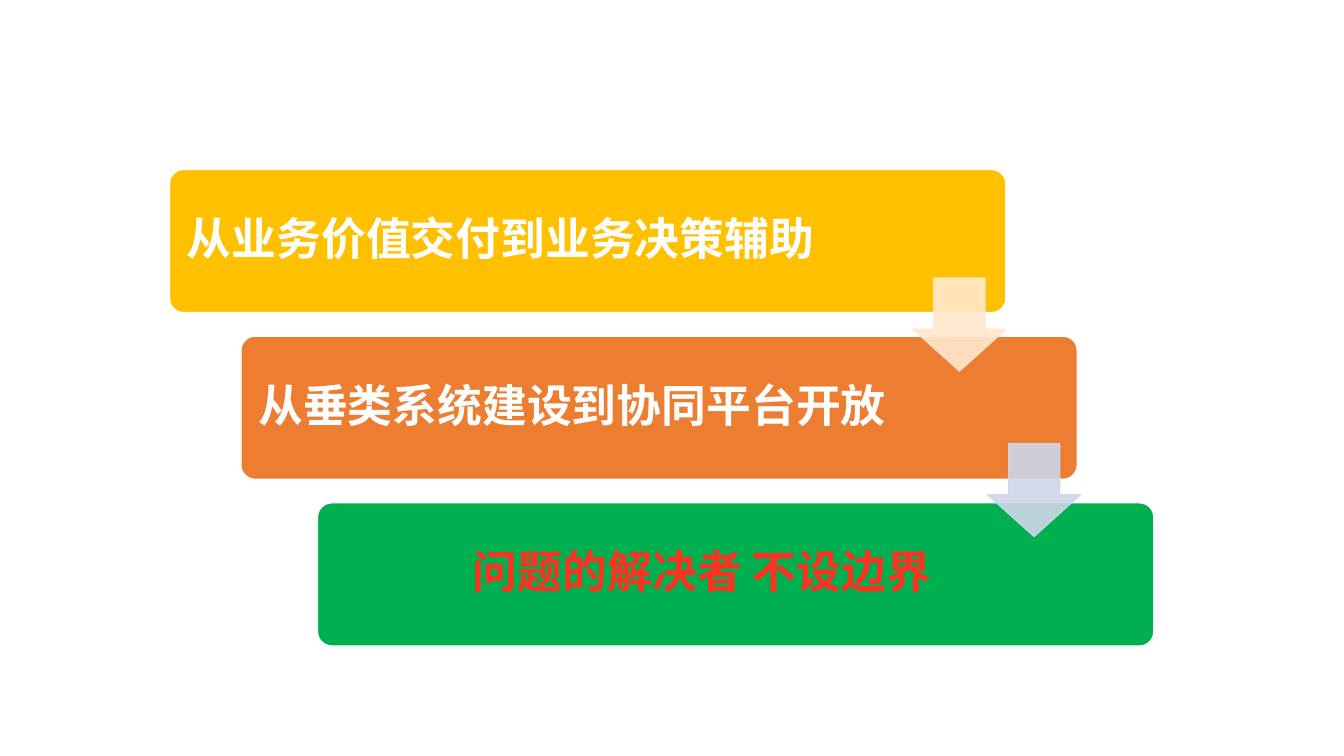
from pptx import Presentation
from pptx import util as u
from pptx.dml import color
from pptx.enum import shapes, text
from pptx.oxml import ns
from lxml import etree

FONT = "Noto Sans CJK SC"
HUES = {
    "gold": "FFC000", "rust": "ED7D31", "green": "00B050",
    "white": "FFFFFF", "red": "FF3121", "cream": "FFE8CC", "mist": "CFD6EA",
}
LEFT, CENTER = text.PP_ALIGN.LEFT, text.PP_ALIGN.CENTER
STEPS = [
    ("从业务价值交付到业务决策辅助", 4.27, 17.2, "gold", "white", LEFT, 0.33),
    ("从垂类系统建设到协同平台开放", 6.07, 16.69, "rust", "white", LEFT, 0.33),
    ("问题的解决者 不设边界", 8, 16.69, "green", "red", CENTER, 2.82),
]
ARROWS = [(23.01, 7.01, "cream"), (24.89, 11.18, "mist")]
TOP, PITCH, WIDE, HIGH = 4.27, 4.2, 21.08, 3.61
EDGE, INSET, SIDE = 0.11, 0.33, 2.34


def rgb(hue):
    return color.RGBColor.from_string(HUES[hue])


def fade(paint):
    tag = paint.find(".//" + ns.qn("a:srgbClr"))
    etree.SubElement(tag, ns.qn("a:alpha"), val="90000")


def draw(slide, kind, box, fill, line, adjust):
    shape = slide.shapes.add_shape(kind, *map(u.Cm, box))
    shape.shadow.inherit = False
    shape.fill.solid()
    shape.fill.fore_color.rgb = rgb(fill)
    shape.line.color.rgb = rgb(line)
    shape.line.width = u.Pt(1)
    for index, value in enumerate(adjust):
        shape.adjustments[index] = value
    return shape


def write(slide, box, words, hue, align, indent):
    frame = slide.shapes.add_textbox(*map(u.Cm, box)).text_frame
    look = {
        "word_wrap": True, "vertical_anchor": text.MSO_ANCHOR.MIDDLE,
        "margin_left": u.Cm(indent), "margin_right": u.Cm(INSET),
        "margin_top": u.Cm(INSET), "margin_bottom": u.Cm(INSET),
    }
    for key, value in look.items():
        setattr(frame, key, value)
    para = frame.paragraphs[0]
    para.alignment = align
    para.line_spacing = 0.9
    run = para.add_run()
    run.text = words
    for key, value in {"name": FONT, "size": u.Pt(32), "bold": True}.items():
        setattr(run.font, key, value)
    run.font.color.rgb = rgb(hue)
    etree.SubElement(run._r.get_or_add_rPr(), ns.qn("a:ea"), typeface=FONT)
    props = run._r.get_or_add_rPr()
    props.find(ns.qn("a:latin")).addnext(props.find(ns.qn("a:ea")))


def main():
    deck = Presentation()
    deck.slide_width, deck.slide_height = u.Cm(33.87), u.Cm(19.05)
    slide = deck.slides.add_slide(deck.slide_layouts[6])
    for row, (words, left, span, fill, hue, align, indent) in enumerate(STEPS):
        top = TOP + row * PITCH
        draw(slide, shapes.MSO_SHAPE.ROUNDED_RECTANGLE,
             (left, top, WIDE, HIGH), fill, "white", [0.1])
        write(slide, (left + EDGE, top + EDGE, span, HIGH - 2 * EDGE),
              words, hue, align, indent)
    for left, top, hue in ARROWS:
        arrow = draw(slide, shapes.MSO_SHAPE.DOWN_ARROW,
                     (left, top, SIDE, SIDE), hue, hue, [0.55, 0.45])
        props = arrow._element.spPr
        for tag in ("a:solidFill", "a:ln"):
            fade(props.find(ns.qn(tag)))
    deck.save("out.pptx")


if __name__ == "__main__":
    main()
